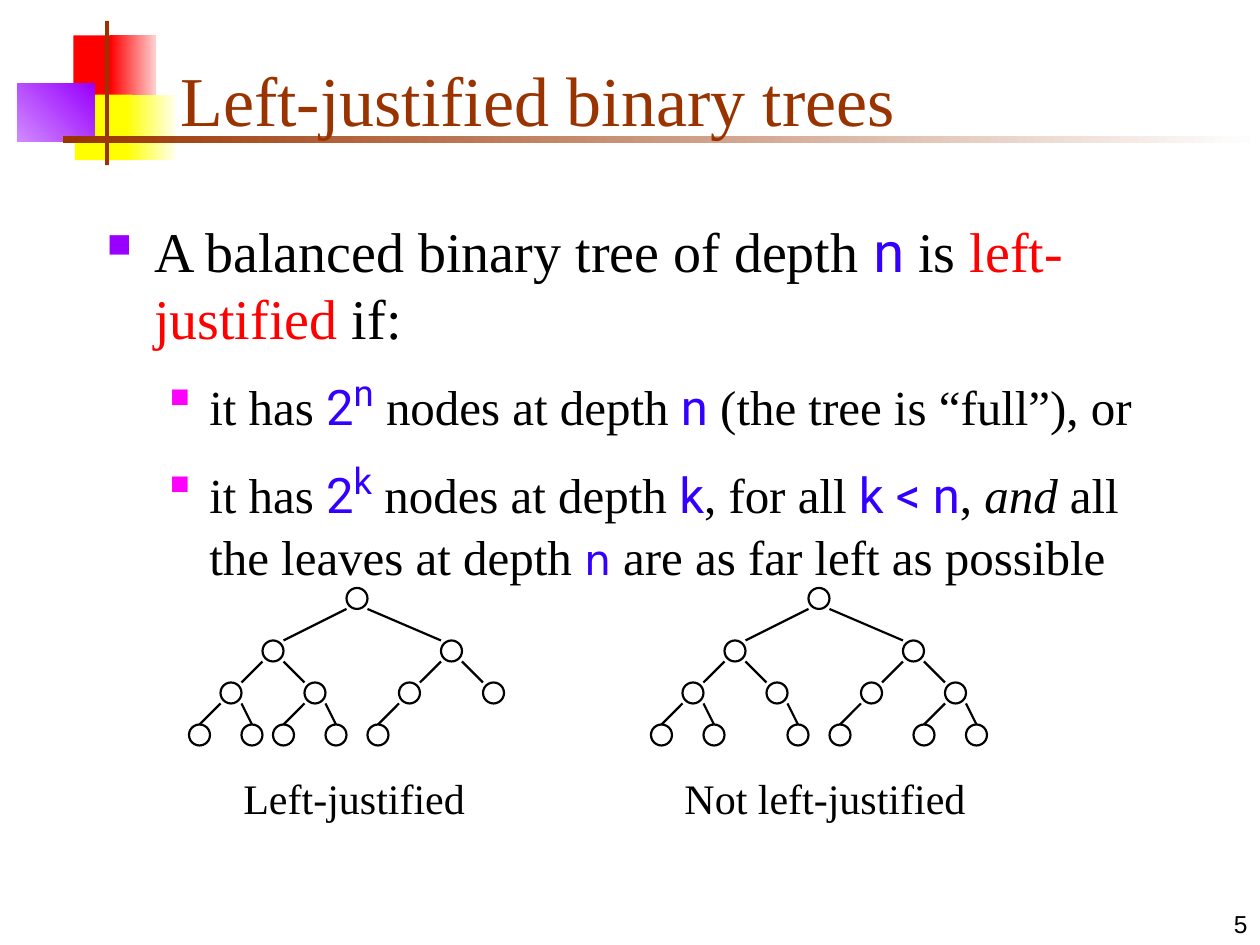
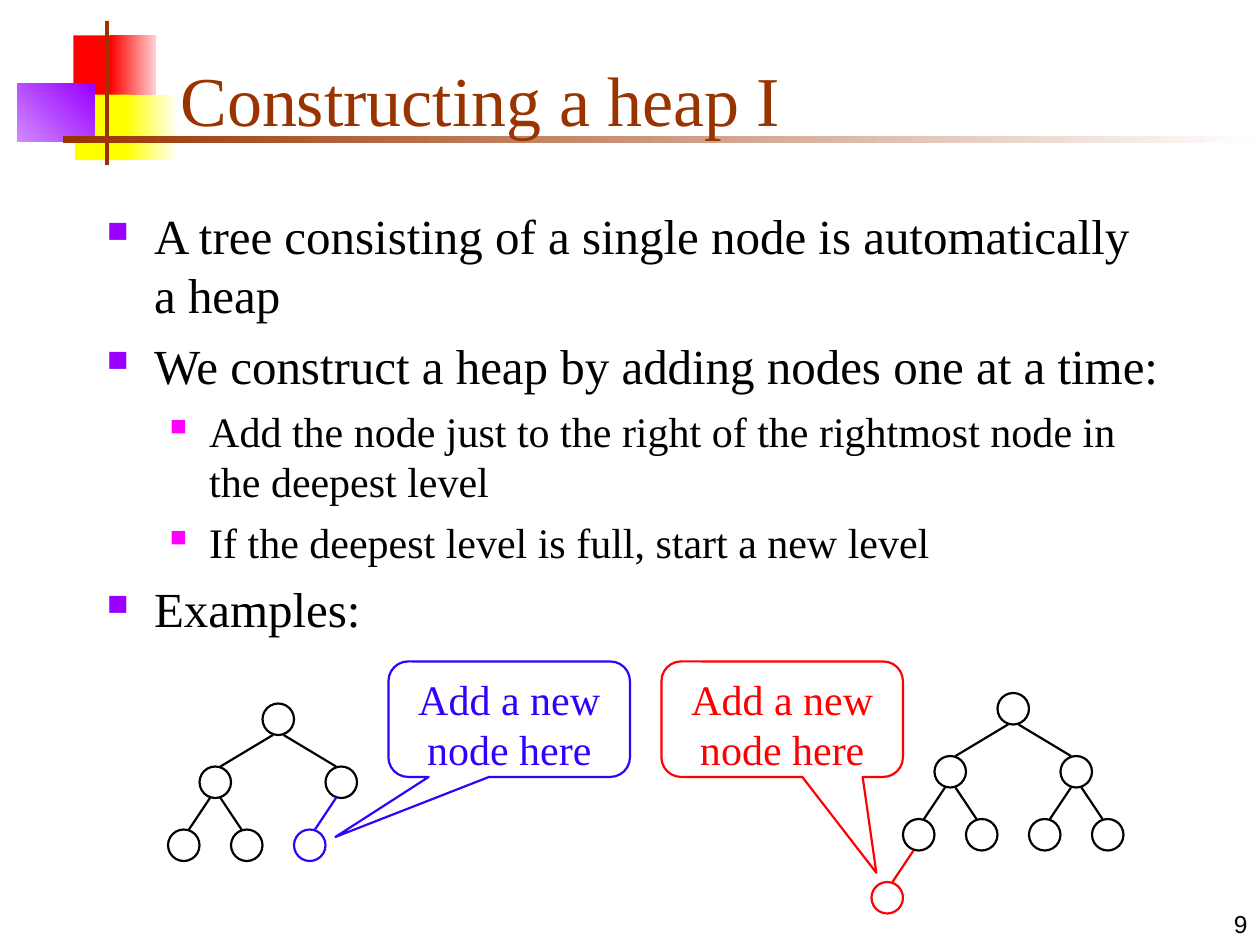
from dataclasses import dataclass

from lxml import etree
from pptx import Presentation
from pptx.dml.color import RGBColor
from pptx.enum.shapes import MSO_CONNECTOR, MSO_SHAPE
from pptx.enum.text import MSO_ANCHOR, PP_ALIGN
from pptx.oxml.ns import qn
from pptx.util import Emu, Pt

RECTANGLE = MSO_SHAPE.RECTANGLE
ELLIPSE = MSO_SHAPE.OVAL
CALLOUT = MSO_SHAPE.ROUNDED_RECTANGULAR_CALLOUT
STRAIGHT = MSO_CONNECTOR.STRAIGHT
TOP, BOTTOM = MSO_ANCHOR.TOP, MSO_ANCHOR.BOTTOM
LEFT, CENTER, RIGHT = PP_ALIGN.LEFT, PP_ALIGN.CENTER, PP_ALIGN.RIGHT

EMU_PER_PX = 9525
SLIDE_SIZE = (960, 720)
SERIF, SANS, MONO, NUMBER_FONT = "Times New Roman", "Roboto", "DejaVu Sans", "Arial"
BLACK, WHITE, RED, BLUE = "000000", "FFFFFF", "FF0000", "3300FF"
BROWN, YELLOW, PURPLE, MAGENTA = "993300", "FFFF00", "9900FF", "FF00FF"
LINE_WIDTH = 1.25

BULLETS = [
    {"left": 36, "hang": 36, "color": PURPLE, "percent": 60},
    {"left": 78, "hang": 30, "color": MAGENTA, "percent": 55},
]
BANDS = [
    ((56, 27, 34, 50), (RED,), 0),
    ((84, 27, 35, 50), (RED, "FFD1D1"), 0),
    ((57, 72, 44, 50), (YELLOW,), 0),
    ((96, 72, 38, 50), (YELLOW, "FFFFF0"), 0),
    ((13, 64, 59, 44), ("D18BFF", PURPLE), 45),
    ((80, 16, 3, 110), (BROWN,), 0),
    ((48, 104, 912, 5), (BROWN, WHITE), 0),
]


@dataclass
class Run:
    """A piece of text with its look."""
    text: str
    color: str = BLACK
    font: str = SERIF
    size: int = 0
    italic: bool = False
    raised: bool = False


@dataclass
class Item:
    """A bulleted paragraph."""
    level: int
    size: int
    space_before: int
    runs: list


@dataclass
class Level:
    """How children sit below their parents in a tree."""
    left_shift: int
    right_shift: int
    drop: int
    child_inset: int


@dataclass
class TreeStyle:
    """Node size, edge start and levels of a tree."""
    node: int
    parent_inset: int
    levels: list


SMALL_TREE = TreeStyle(16, 0, [Level(-64, 72, 40, 0), Level(-32, 32, 32, 0),
                               Level(-24, 16, 32, 8)])
LARGE_TREE = TreeStyle(24, 8, [Level(-48, 48, 48, 8), Level(-24, 24, 48, 8),
                               Level(-24, 24, 48, 8)])


def px(*lengths):
    """Turn px lengths into EMU."""
    return [Emu(length * EMU_PER_PX) for length in lengths]


def rgb(color):
    """Turn a hex string into a colour."""
    return RGBColor.from_string(color)


def add_run(paragraph, run, size):
    """Add one styled run to a paragraph."""
    text_run = paragraph.add_run()
    text_run.text = run.text
    font = text_run.font
    font.size = Pt(run.size or size)
    font.name = run.font
    font.color.rgb = rgb(run.color)
    if run.italic:
        font.italic = True
    if run.raised:
        text_run._r.get_or_add_rPr().set("baseline", "30000")


def add_text_box(slide, box, anchor=TOP):
    """Add an empty wrapping text box and return its frame."""
    frame = slide.shapes.add_textbox(*px(*box)).text_frame
    frame.word_wrap = True
    frame.vertical_anchor = anchor
    return frame


def add_line_of_text(slide, box, run, size, anchor=TOP, alignment=LEFT):
    """Add a text box holding a single run."""
    paragraph = add_text_box(slide, box, anchor).paragraphs[0]
    paragraph.alignment = alignment
    add_run(paragraph, run, size)


def add_bullet(paragraph, level):
    """Give a paragraph the square bullet of its level."""
    style = BULLETS[level]
    left, hang = px(style["left"], style["hang"])
    properties = paragraph._p.get_or_add_pPr()
    properties.set("marL", str(left))
    properties.set("indent", str(-hang))
    color = etree.SubElement(properties, qn("a:buClr"))
    etree.SubElement(color, qn("a:srgbClr"), val=style["color"])
    etree.SubElement(properties, qn("a:buSzPct"), val=str(style["percent"] * 1000))
    etree.SubElement(properties, qn("a:buChar"), char="■")


def add_body(slide, box, items):
    """Add the bulleted body text."""
    frame = add_text_box(slide, box)
    for position, item in enumerate(items):
        paragraph = frame.add_paragraph() if position else frame.paragraphs[0]
        paragraph.level = item.level
        add_bullet(paragraph, item.level)
        if position:
            paragraph.space_before = Pt(item.space_before)
        for run in item.runs:
            add_run(paragraph, run, item.size)


def add_band(slide, box, colors, angle):
    """Add a borderless rectangle with a solid or gradient fill."""
    shape = slide.shapes.add_shape(RECTANGLE, *px(*box))
    shape.shadow.inherit = False
    shape.line.fill.background()
    if len(colors) == 1:
        shape.fill.solid()
        shape.fill.fore_color.rgb = rgb(colors[0])
        return
    shape.fill.gradient()
    shape.fill.gradient_angle = angle
    for stop, color in zip(shape.fill.gradient_stops, colors):
        stop.color.rgb = rgb(color)


def add_outline(slide, kind, box, color):
    """Add an unfilled shape with a coloured outline."""
    shape = slide.shapes.add_shape(kind, *px(*box))
    shape.shadow.inherit = False
    shape.fill.background()
    shape.line.color.rgb = rgb(color)
    shape.line.width = Pt(LINE_WIDTH)
    return shape


def add_edge(slide, start, end, color):
    """Add a straight line between two points."""
    connector = slide.shapes.add_connector(STRAIGHT, *px(*start, *end))
    connector.line.color.rgb = rgb(color)
    connector.line.width = Pt(LINE_WIDTH)
    etree.SubElement(connector._element.spPr, qn("a:effectLst"))


def add_tree(slide, root, style, indexes, highlights):
    """Draw a binary tree of heap indexes, with the root node at a point."""
    places = {1: root}
    size = style.node
    add_outline(slide, ELLIPSE, (*root, size, size), highlights.get(1, BLACK))
    for index in indexes:
        if index == 1:
            continue
        parent_left, parent_top = places[index // 2]
        level = style.levels[index.bit_length() - 2]
        color = highlights.get(index, BLACK)
        top = parent_top + level.drop
        if index % 2:
            left = parent_left + level.right_shift
            start = parent_left + size - style.parent_inset
            end = left + level.child_inset
        else:
            left = parent_left + level.left_shift
            start = parent_left + style.parent_inset
            end = left + size - level.child_inset
        places[index] = (left, top)
        add_outline(slide, ELLIPSE, (left, top, size, size), color)
        add_edge(slide, (start, parent_top + size), (end, top), color)


def add_callout(slide, box, adjustments, color):
    """Add a speech bubble that points at the new node."""
    shape = add_outline(slide, CALLOUT, box, color)
    for position, value in enumerate(adjustments):
        shape.adjustments[position] = value
    frame = shape.text_frame
    frame.word_wrap = True
    frame.vertical_anchor = TOP
    paragraph = frame.paragraphs[0]
    paragraph.alignment = CENTER
    add_run(paragraph, Run("Add a new node here", color), 24)


def add_base_slide(presentation, title, number):
    """Add a slide with the shared bands, title and page number."""
    slide = presentation.slides.add_slide(presentation.slide_layouts[6])
    for box, colors, angle in BANDS:
        add_band(slide, box, colors, angle)
    add_line_of_text(slide, (760, 672, 200, 48), Run(number, font=NUMBER_FONT),
                     14, BOTTOM, RIGHT)
    add_line_of_text(slide, (128, 24, 818, 88), Run(title, BROWN), 40, BOTTOM)
    return slide


def code(text, **options):
    """Make a blue sans-serif run."""
    return Run(text, BLUE, SANS, **options)


def build_justified_slide(presentation):
    """Build the slide on left-justified trees."""
    slide = add_base_slide(presentation, "Left-justified binary trees", "5")
    add_body(slide, (72, 160, 840, 280), [
        Item(0, 32, 8, [Run("A balanced binary tree of depth "), code("n"), Run(" is "),
                        Run("left-justified", RED), Run(" if:")]),
        Item(1, 28, 7, [Run("it has "), code("2"), code("n", size=36, raised=True),
                        Run(" nodes at depth "), code("n"),
                        Run(" (the tree is “full”), or")]),
        Item(1, 28, 7, [Run("it has "), code("2"), code("k", size=36, raised=True),
                        Run(" nodes at depth "), code("k"), Run(", for all "),
                        code("k < n"), Run(", "), Run("and", italic=True),
                        Run(" all the leaves at depth "), Run("n", BLUE, MONO, 24),
                        Run(" are as far left as possible")]),
    ])
    inner = list(range(1, 8))
    trees = [
        ("Left-justified", (176, 584, 200, 48), 264, [8, 9, 10, 11, 12]),
        ("Not left-justified", (512, 584, 256, 48), 616, [8, 9, 11, 12, 14, 15]),
    ]
    for caption, box, root_left, leaves in trees:
        add_line_of_text(slide, box, Run(caption), 24)
        add_tree(slide, (root_left, 448), SMALL_TREE, inner + leaves, {})


def build_heap_slide(presentation):
    """Build the slide on adding nodes to a heap."""
    slide = add_base_slide(presentation, "Constructing a heap I", "9")
    texts = [
        (0, "A tree consisting of a single node is automatically a heap"),
        (0, "We construct a heap by adding nodes one at a time:"),
        (1, "Add the node just to the right of the rightmost node in the deepest level"),
        (1, "If the deepest level is full, start a new level"),
        (0, "Examples:"),
    ]
    add_body(slide, (72, 152, 824, 368),
             [Item(level, 28 - 4 * level, 7 - level, [Run(text)]) for level, text in texts])
    examples = [
        ((200, 536), 6, BLUE, 296, (-0.72, 1.02, 0.17)),
        ((760, 528), 8, RED, 504, (0.39, 1.33, 0.17)),
    ]
    for root, new_node, color, callout_left, adjustments in examples:
        add_tree(slide, root, LARGE_TREE, range(1, new_node + 1), {new_node: color})
        add_callout(slide, (callout_left, 504, 184, 88), adjustments, color)


def main():
    """Build and save the presentation."""
    presentation = Presentation()
    presentation.slide_width, presentation.slide_height = px(*SLIDE_SIZE)
    build_justified_slide(presentation)
    build_heap_slide(presentation)
    presentation.save("out.pptx")


if __name__ == "__main__":
    main()
